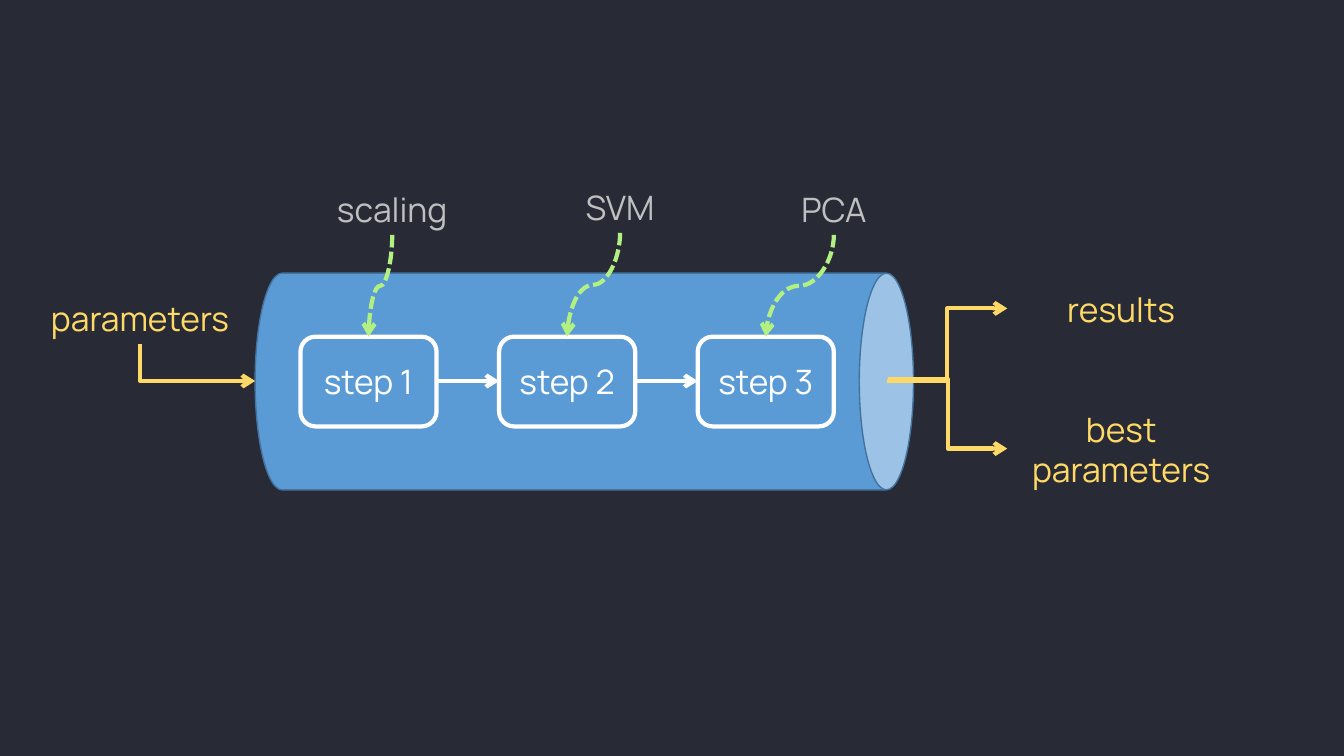
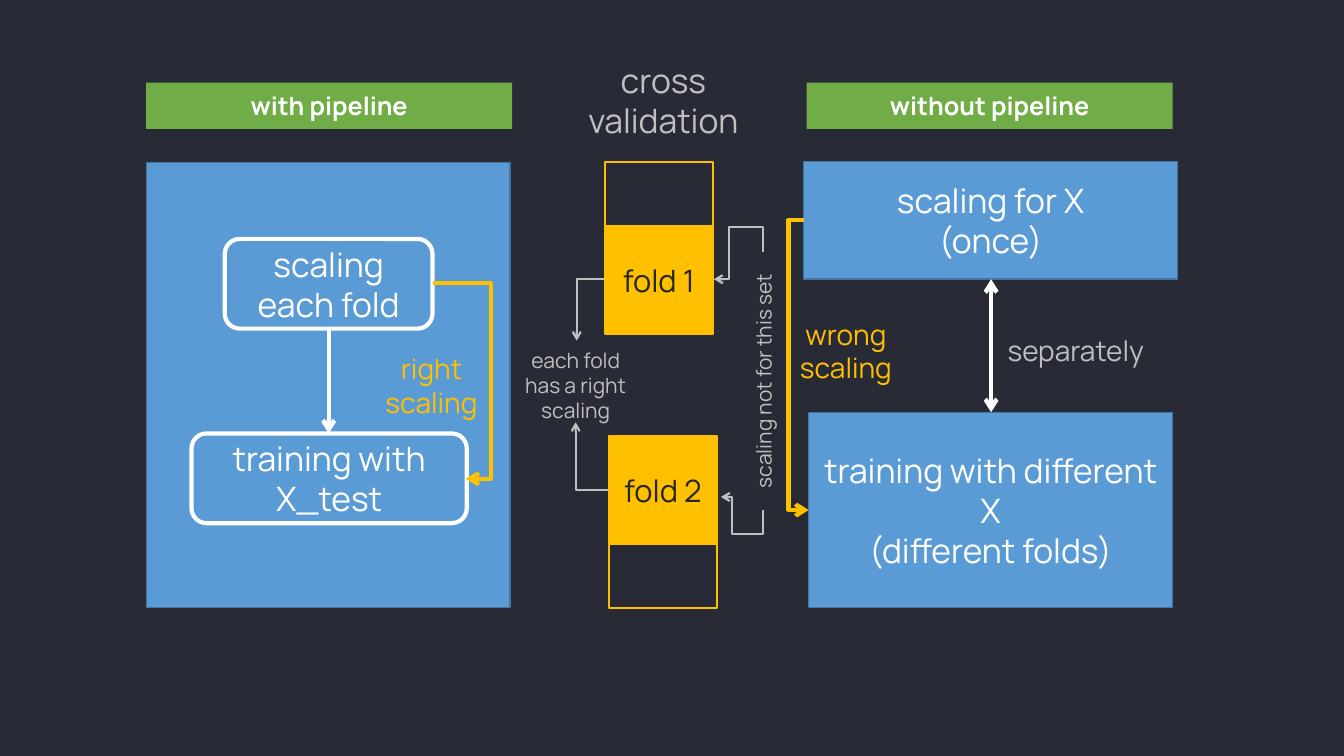
from dataclasses import dataclass
from typing import Optional

from lxml import etree
from pptx import Presentation
from pptx.dml.color import RGBColor
from pptx.enum.dml import MSO_LINE
from pptx.enum.shapes import MSO_CONNECTOR, MSO_SHAPE
from pptx.enum.text import MSO_ANCHOR, PP_ALIGN
from pptx.oxml.ns import qn
from pptx.util import Inches, Pt

CAN = MSO_SHAPE.CAN
RECTANGLE = MSO_SHAPE.RECTANGLE
ROUNDED = MSO_SHAPE.FLOWCHART_ALTERNATE_PROCESS
STRAIGHT = MSO_CONNECTOR.STRAIGHT
ELBOW = MSO_CONNECTOR.ELBOW
CURVE = MSO_CONNECTOR.CURVE
DASHED = MSO_LINE.SQUARE_DOT
CENTER = PP_ALIGN.CENTER
MIDDLE = MSO_ANCHOR.MIDDLE


@dataclass(frozen=True)
class Theme:
    font: str = "Manrope"
    background: str = "282A36"
    blue: str = "5B9BD5"
    blue_edge: str = "43739E"
    white: str = "FFFFFF"
    gray: str = "BFBFBF"
    yellow: str = "FFD966"
    amber: str = "FFC000"
    lime: str = "B3F082"
    green: str = "70AD47"
    ink: str = "262626"
    large: float = 24
    fold: float = 22
    medium: float = 20
    heading: float = 18
    small: float = 15
    thick: float = 3
    medium_line: float = 1.5
    thin: float = 1


THEME = Theme()


@dataclass(frozen=True)
class Box:
    left: float
    top: float
    width: float
    height: float
    lines: tuple[str, ...] = ()
    color: str = THEME.white
    size: float = THEME.large
    bold: bool = False
    rotation: float = 0
    shape: Optional[MSO_SHAPE] = None
    fill: Optional[str] = None
    edge: Optional[str] = None
    weight: float = THEME.thin


@dataclass(frozen=True)
class Arrow:
    start: tuple[float, float]
    end: tuple[float, float]
    color: str
    weight: float = THEME.thick
    kind: MSO_CONNECTOR = STRAIGHT
    preset: Optional[str] = None
    bends: tuple[float, ...] = ()
    starts_down: bool = False
    dashed: bool = False
    both_ends: bool = False


def rgb(color: str) -> RGBColor:
    return RGBColor.from_string(color)


def label(left: float, top: float, width: float, height: float, *lines: str,
          color: str = THEME.gray, size: float = THEME.large,
          rotation: float = 0) -> Box:
    return Box(left, top, width, height, lines, color, size, rotation=rotation)


def panel(left: float, top: float, width: float, height: float,
          *lines: str) -> Box:
    return Box(left, top, width, height, lines, shape=RECTANGLE,
               fill=THEME.blue, edge=THEME.blue_edge)


def step(left: float, top: float, width: float, text: str) -> Box:
    return Box(left, top, width, 0.89, (text,), shape=ROUNDED,
               fill=THEME.blue, edge=THEME.white, weight=THEME.thick)


def heading(left: float, text: str) -> Box:
    return Box(left, 0.82, 3.63, 0.46, (text,), size=THEME.heading, bold=True,
               shape=RECTANGLE, fill=THEME.green)


def fold(left: float, top: float, filled_top: float, text: str) -> list[Box]:
    return [
        Box(left, top, 1.07, 1.7, shape=RECTANGLE, edge=THEME.amber,
            weight=THEME.medium_line),
        Box(left, filled_top, 1.07, 1.07, (text,), THEME.ink, THEME.fold,
            shape=RECTANGLE, fill=THEME.amber, edge=THEME.amber),
    ]


def draw_box(slide, box: Box):
    frame = [Inches(v) for v in (box.left, box.top, box.width, box.height)]
    if box.shape is None:
        drawn = slide.shapes.add_textbox(*frame)
    else:
        drawn = slide.shapes.add_shape(box.shape, *frame)
        drawn.shadow.inherit = False
        if box.fill:
            drawn.fill.solid()
            drawn.fill.fore_color.rgb = rgb(box.fill)
        else:
            drawn.fill.background()
        if box.edge:
            drawn.line.color.rgb = rgb(box.edge)
            drawn.line.width = Pt(box.weight)
        else:
            drawn.line.fill.background()
    drawn.rotation = box.rotation
    body = drawn.text_frame
    body.word_wrap = True
    body.vertical_anchor = MIDDLE
    for index, line in enumerate(box.lines):
        paragraph = body.add_paragraph() if index else body.paragraphs[0]
        paragraph.alignment = CENTER
        run = paragraph.add_run()
        run.text = line
        run.font.name = THEME.font
        run.font.size = Pt(box.size)
        run.font.bold = box.bold
        run.font.color.rgb = rgb(box.color)
    return drawn


def draw_arrow(slide, arrow: Arrow) -> None:
    (x1, y1), (x2, y2) = arrow.start, arrow.end
    run_x, run_y = x2 - x1, y2 - y1
    width, height = abs(run_x), abs(run_y)
    flip_h, flip_v = run_x < 0, run_y < 0
    if arrow.starts_down:
        width, height = height, width
        flip_h, flip_v = run_y < 0, run_x > 0
    left, top = (x1 + x2 - width) / 2, (y1 + y2 - height) / 2
    connector = slide.shapes.add_connector(
        arrow.kind, Inches(left), Inches(top),
        Inches(left + width), Inches(top + height))
    connector.line.color.rgb = rgb(arrow.color)
    connector.line.width = Pt(arrow.weight)
    if arrow.dashed:
        connector.line.dash_style = DASHED

    properties = connector._element.spPr
    transform = properties.find(qn("a:xfrm"))
    for name, flipped in (("flipH", flip_h), ("flipV", flip_v)):
        if flipped:
            transform.set(name, "1")
    if arrow.starts_down:
        transform.set("rot", str(90 * 60000))
    geometry = properties.find(qn("a:prstGeom"))
    if arrow.preset:
        geometry.set("prst", arrow.preset)
    adjustments = geometry.find(qn("a:avLst"))
    for number, bend in enumerate(arrow.bends, 1):
        etree.SubElement(adjustments, qn("a:gd"), name=f"adj{number}",
                         fmla=f"val {round(bend * 100000)}")
    outline = properties.find(qn("a:ln"))
    if arrow.both_ends:
        etree.SubElement(outline, qn("a:headEnd"), type="arrow")
    etree.SubElement(outline, qn("a:tailEnd"), type="arrow")
    etree.SubElement(properties, qn("a:effectLst"))


def add_slide(deck, boxes: list[Box], arrows: list[Arrow]) -> None:
    slide = deck.slides.add_slide(deck.slide_layouts[6])
    slide.background.fill.solid()
    slide.background.fill.fore_color.rgb = rgb(THEME.background)
    for box in boxes:
        draw_box(slide, box)
    for arrow in arrows:
        draw_arrow(slide, arrow)


def pipeline_slide(deck) -> None:
    first_left, pitch, width, top, middle = 2.98, 1.97, 1.35, 3.34, 3.78
    stages = (("scaling", 2.76, 1.82), ("SVM", 5.02, 1.8), ("PCA", 7.14, 1.82))
    boxes = [Box(4.72, 0.52, 2.15, 6.53, rotation=90, shape=CAN,
                 fill=THEME.blue, edge=THEME.blue_edge)]
    arrows = []
    for index, (name, name_left, name_top) in enumerate(stages):
        left = first_left + index * pitch
        boxes.append(step(left, top, width, f"step {index + 1}"))
        boxes.append(label(name_left, name_top, 2.26, 0.51, name))
        arrows.append(Arrow((name_left + 1.13, name_top + 0.51),
                            (left + width / 2, top), THEME.lime, kind=CURVE,
                            starts_down=True, dashed=True))
        if index:
            arrows.append(Arrow((left - pitch + width, middle), (left, middle),
                                THEME.white))
    for name, left, name_top in (("parameters", 0.26, 2.9),
                                 ("results", 9.99, 2.81),
                                 ("best parameters", 9.99, 4.2)):
        boxes.append(label(left, name_top, 2.26, 0.51, name,
                           color=THEME.yellow))
    arrows += [
        Arrow((1.39, 3.41), (2.53, middle), THEME.yellow, kind=ELBOW,
              preset="bentConnector2", starts_down=True),
        Arrow((8.8, middle), (9.99, 3.06), THEME.yellow, kind=ELBOW),
        Arrow((8.81, 3.76), (9.99, 4.45), THEME.yellow, kind=ELBOW),
    ]
    add_slide(deck, boxes, arrows)


def comparison_slide(deck) -> None:
    boxes = [
        heading(1.45, "with pipeline"),
        heading(8, "without pipeline"),
        panel(1.45, 1.61, 3.61, 4.42),
        step(2.23, 2.37, 2.06, "scaling each fold"),
        step(1.9, 4.3, 2.73, "training with X_test"),
        panel(7.97, 1.6, 3.71, 1.17, "scaling for X", "(once)"),
        panel(8.02, 4.09, 3.61, 1.94, "training with different X",
              "(different folds)"),
        *fold(6, 1.61, 2.24, "fold 1"),
        *fold(6.04, 4.33, 4.33, "fold 2"),
        label(5.45, 0.57, 2.26, 0.85, "cross validation"),
        label(9.83, 3.18, 1.68, 0.6, "separately", size=THEME.medium),
        label(7.76, 3.18, 1.26, 0.6, "wrong scaling", color=THEME.amber,
              size=THEME.medium),
        label(3.65, 3.52, 1.26, 0.6, "right", "scaling", color=THEME.amber,
              size=THEME.medium),
        label(6.29, 3.59, 2.56, 0.38, "scaling not for this set",
              size=THEME.small, rotation=270),
        label(5.02, 3.45, 1.38, 0.74, "each fold has a right scaling",
              size=THEME.small),
    ]
    arrows = [
        Arrow((3.26, 3.26), (3.26, 4.3), THEME.white),
        Arrow((9.83, 2.77), (9.83, 4.09), THEME.white, both_ends=True),
        Arrow((7.97, 2.18), (8.02, 5.06), THEME.amber, kind=ELBOW,
              bends=(-3,)),
        Arrow((4.29, 2.81), (4.62, 4.75), THEME.amber, kind=ELBOW,
              bends=(1.75,)),
        Arrow((7.57, 2.5), (7.08, 2.77), THEME.gray, THEME.medium_line, ELBOW,
              "bentConnector4", (-0.92, 0.69), starts_down=True),
        Arrow((7.57, 5.06), (7.15, 4.93), THEME.gray, THEME.medium_line, ELBOW,
              "bentConnector4", (-1.85, 0.73), starts_down=True),
        Arrow((6, 2.77), (5.72, 3.38), THEME.gray, THEME.medium_line, ELBOW,
              "bentConnector2"),
        Arrow((6.04, 4.86), (5.71, 4.19), THEME.gray, THEME.medium_line, ELBOW,
              "bentConnector2"),
    ]
    add_slide(deck, boxes, arrows)


def main() -> None:
    deck = Presentation()
    deck.slide_width = Inches(13.33)
    deck.slide_height = Inches(7.5)
    pipeline_slide(deck)
    comparison_slide(deck)
    deck.save("out.pptx")


if __name__ == "__main__":
    main()
